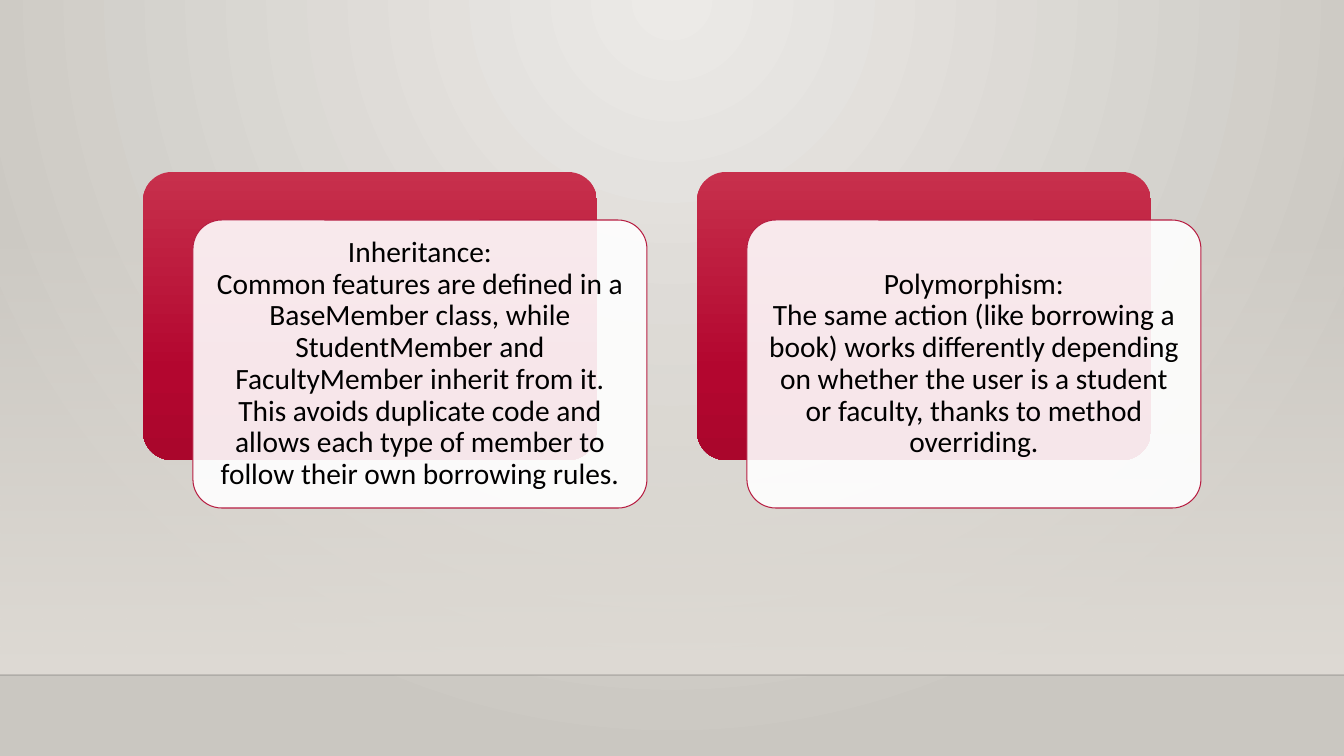
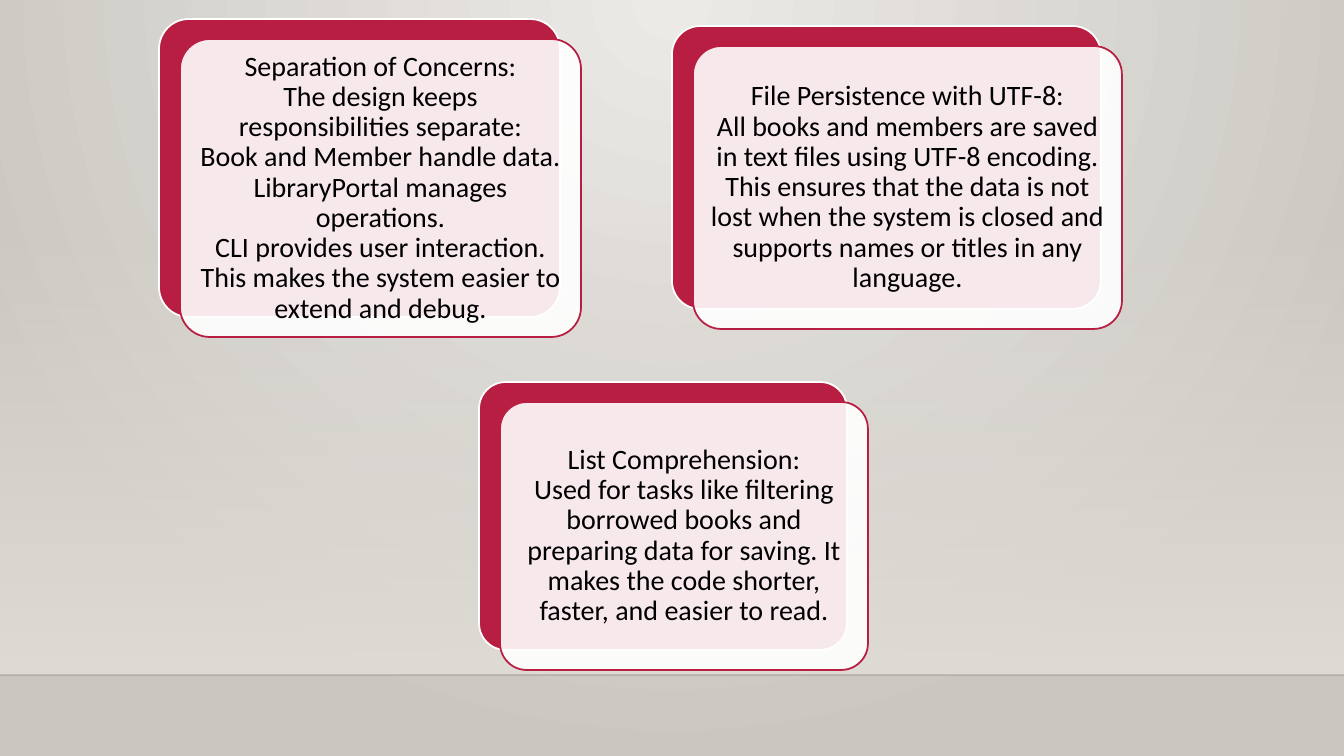
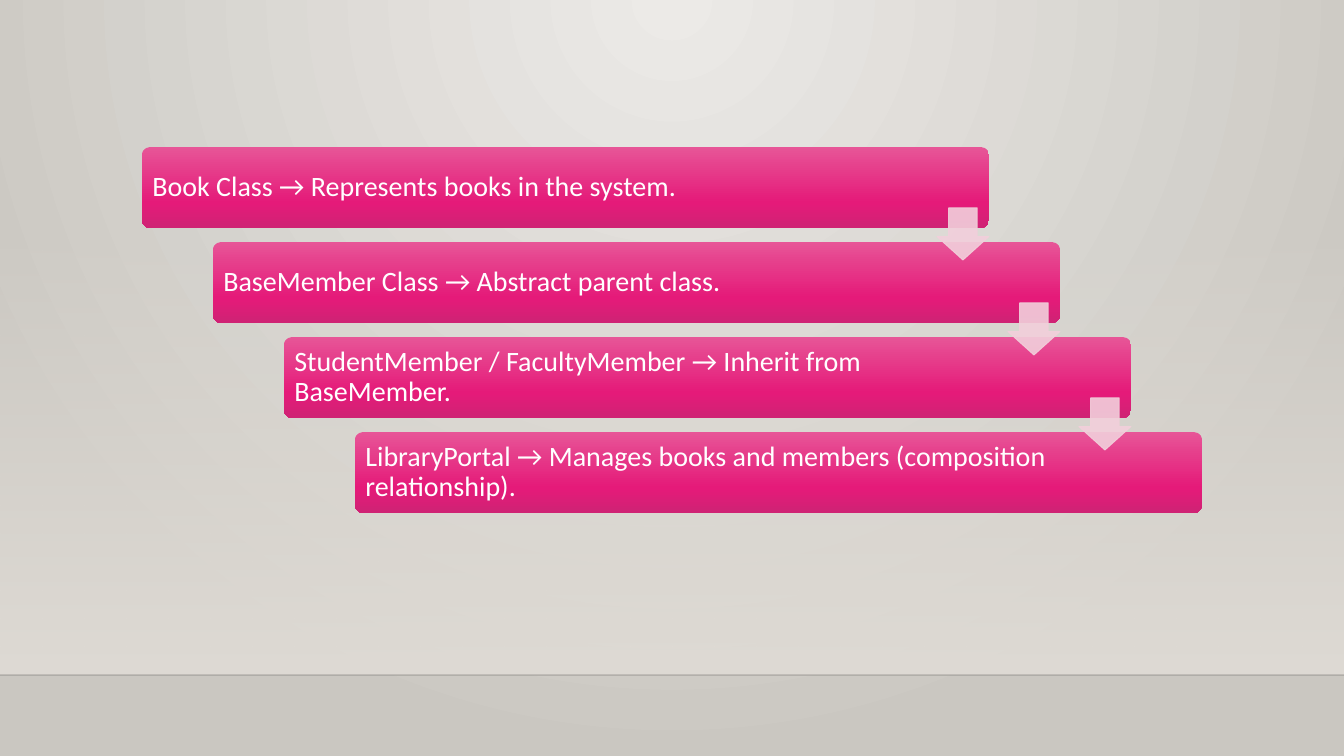
"""Build three slides on the design of a library system."""
from dataclasses import dataclass
from typing import Optional, Union

from lxml.etree import SubElement
from pptx import Presentation
from pptx.dml.color import RGBColor
from pptx.enum.shapes import MSO_CONNECTOR, MSO_SHAPE as Preset
from pptx.enum.text import MSO_ANCHOR as Anchor, PP_ALIGN as Align
from pptx.oxml.ns import qn
from pptx.util import Pt

EMU_PER_PX = 914400 / 100.8
SLIDE_WIDTH, SLIDE_HEIGHT = 1344, 756
HORIZON = 675
FONT = "Calibri"
COLORS = {
    "glow": "ECEAE7", "edge": "CAC7C1", "haze": "DFDBD5", "horizon": "000001",
    "crimson": "B71E42", "white": "FFFFFF", "black": "000000", "blush": "F2CFDB",
    "crimson_top": "C7304C", "crimson_mid": "B3062F", "crimson_low": "AA062C",
    "pink_top": "E75597", "pink_mid": "E51A79", "pink_low": "CF2374",
}
FILL_COLOR = "p:spPr/a:solidFill/a:srgbClr"
LINE_COLOR = "p:spPr/a:ln/a:solidFill/a:srgbClr"


@dataclass(frozen=True)
class Stop:
    """A gradient stop in percent."""
    position: int
    color: str
    alpha: int = 100


@dataclass(frozen=True)
class Box:
    """A rectangle in px."""
    left: int
    top: int
    width: int
    height: int

    def shifted(self, dx: int, dy: int) -> "Box":
        """Return the box moved by dx and dy."""
        return Box(self.left + dx, self.top + dy, self.width, self.height)

    def emu(self) -> tuple:
        """Return left, top, width and height in EMU."""
        return tuple(px(v) for v in (self.left, self.top, self.width, self.height))


@dataclass(frozen=True)
class Card:
    """A concept with its place on the slide."""
    box: Box
    text: str


@dataclass(frozen=True)
class CardStyle:
    """The look shared by the cards of one slide."""
    backing: Union[str, tuple]
    backing_line: Optional[str]
    line_width: float
    dx: int
    dy: int
    size: int
    inset: int


CRIMSON_FADE = (Stop(0, "crimson_top"), Stop(69, "crimson_mid"), Stop(100, "crimson_low"))
PINK_FADE = (Stop(0, "pink_top"), Stop(69, "pink_mid"), Stop(100, "pink_low"))

PRINCIPLE_STYLE = CardStyle(CRIMSON_FADE, None, 0.75, 50, 48, 21, 9)
PRACTICE_STYLE = CardStyle("crimson", "white", 1.25, 21, 20, 20, 8)

PRINCIPLES = (
    Card(Box(143, 172, 454, 288),
         "Inheritance:\nCommon features are defined in a BaseMember class, while "
         "StudentMember and FacultyMember inherit from it. This avoids duplicate code "
         "and allows each type of member to follow their own borrowing rules."),
    Card(Box(697, 172, 454, 288),
         "Polymorphism:\nThe same action (like borrowing a book) works differently "
         "depending on whether the user is a student or faculty, thanks to method "
         "overriding."),
)
PRACTICES = (
    Card(Box(159, 19, 401, 298),
         "Separation of Concerns:\nThe design keeps responsibilities separate:\n"
         "Book and Member handle data.\nLibraryPortal manages operations.\n"
         "CLI provides user interaction.\n"
         "This makes the system easier to extend and debug."),
    Card(Box(479, 382, 368, 268),
         "List Comprehension:\nUsed for tasks like filtering borrowed books and "
         "preparing data for saving. It makes the code shorter, faster, and easier "
         "to read."),
    Card(Box(672, 26, 429, 283),
         "File Persistence with UTF-8:\nAll books and members are saved in text files "
         "using UTF-8 encoding. This ensures that the data is not lost when the system "
         "is closed and supports names or titles in any language."),
)
CLASSES = (
    "Book Class → Represents books in the system.",
    "BaseMember Class → Abstract parent class.",
    "StudentMember / FacultyMember → Inherit from BaseMember.",
    "LibraryPortal → Manages books and members (composition relationship).",
)
FIRST_STEP = Box(142, 147, 847, 81)
STEP_DX, STEP_DY = 71, 95
ARROW_SIZE, ARROW_DROP = 52, 61


def px(length: int) -> int:
    """Turn px into EMU."""
    return round(length * EMU_PER_PX)


def rgb(color: str) -> RGBColor:
    """Look up a named colour."""
    return RGBColor.from_string(COLORS[color])


def fade(shape, color_path: str, percent: int) -> None:
    """Set the opacity of the colours found at a path."""
    for color in shape.element.xpath(color_path):
        SubElement(color, qn("a:alpha"), val=str(percent * 1000))


def set_gradient(fill, owner, stops: tuple, radial: bool = False) -> None:
    """Fill with a vertical or a radial gradient."""
    fill.gradient()
    gradient = next(owner.element.iter(qn("a:gradFill")))
    for child in list(gradient):
        gradient.remove(child)
    stop_list = SubElement(gradient, qn("a:gsLst"))
    for stop in stops:
        entry = SubElement(stop_list, qn("a:gs"), pos=str(stop.position * 1000))
        color = SubElement(entry, qn("a:srgbClr"), val=COLORS[stop.color])
        if stop.alpha < 100:
            SubElement(color, qn("a:alpha"), val=str(stop.alpha * 1000))
    if radial:
        circle = SubElement(gradient, qn("a:path"), path="circle")
        SubElement(circle, qn("a:fillToRect"), l="43000", t="0", r="43000", b="100000")
    else:
        SubElement(gradient, qn("a:lin"), ang="5400000", scaled="0")


def add_block(slide, preset, box: Box, fill: Union[str, tuple],
              line: Optional[str] = None, line_width: float = 0.75,
              adjust: tuple = (), opacity: int = 100):
    """Add a filled preset shape without shadow."""
    shape = slide.shapes.add_shape(preset, *box.emu())
    shape.shadow.inherit = False
    for index, value in enumerate(adjust):
        shape.adjustments[index] = value
    if isinstance(fill, str):
        shape.fill.solid()
        shape.fill.fore_color.rgb = rgb(fill)
        if opacity < 100:
            fade(shape, FILL_COLOR, opacity)
    else:
        set_gradient(shape.fill, shape, fill)
    if line:
        shape.line.color.rgb = rgb(line)
        shape.line.width = Pt(line_width)
    else:
        shape.line.fill.background()
    return shape


def write(shape, text: str, *, size: int, color: str, align, inset: int,
          right_inset: Optional[int] = None) -> None:
    """Write one formatted paragraph into a shape."""
    frame = shape.text_frame
    frame.word_wrap = True
    frame.vertical_anchor = Anchor.MIDDLE
    frame.margin_left = frame.margin_top = frame.margin_bottom = px(inset)
    frame.margin_right = px(inset if right_inset is None else right_inset)
    paragraph = frame.paragraphs[0]
    paragraph.text = text
    paragraph.alignment = align
    paragraph.line_spacing = 0.9
    for run in paragraph.runs:
        run.font.name = FONT
        run.font.size = Pt(size)
        run.font.color.rgb = rgb(color)


def dress_master(master, slide) -> None:
    """Give the master its background, haze and horizon."""
    set_gradient(master.background.fill, master,
                 (Stop(0, "glow"), Stop(100, "edge")), radial=True)
    haze = add_block(slide, Preset.RECTANGLE, Box(0, 223, SLIDE_WIDTH, HORIZON - 223),
                     (Stop(0, "haze", 0), Stop(100, "haze")))
    horizon = slide.shapes.add_connector(
        MSO_CONNECTOR.STRAIGHT, 0, px(HORIZON), px(SLIDE_WIDTH), px(HORIZON))
    horizon.line.color.rgb = rgb("horizon")
    horizon.line.width = Pt(1)
    fade(horizon, LINE_COLOR, 20)
    SubElement(horizon.element.find(qn("p:spPr")), qn("a:effectLst"))
    for shape_id, part in enumerate((haze, horizon), start=100):
        part.element.xpath(".//p:cNvPr")[0].set("id", str(shape_id))
        master.shapes.element.append(part.element)


def add_cards(slide, cards: tuple, style: CardStyle) -> None:
    """Draw cards, each a panel over an offset backing."""
    for card in cards:
        add_block(slide, Preset.ROUNDED_RECTANGLE, card.box, style.backing,
                  style.backing_line, style.line_width, adjust=(0.1,))
        panel = add_block(slide, Preset.ROUNDED_RECTANGLE,
                          card.box.shifted(style.dx, style.dy), "white", "crimson",
                          style.line_width, adjust=(0.1,), opacity=90)
        write(panel, card.text, size=style.size, color="black",
              align=Align.CENTER, inset=style.inset)


def add_staircase(slide, steps: tuple) -> None:
    """Draw descending steps with an arrow between neighbours."""
    boxes = [FIRST_STEP.shifted(i * STEP_DX, i * STEP_DY) for i in range(len(steps))]
    for box, text in zip(boxes, steps):
        step = add_block(slide, Preset.ROUNDED_RECTANGLE, box, PINK_FADE, adjust=(0.1,))
        write(step, text, size=20, color="white", align=Align.LEFT,
              inset=8, right_inset=131)
    for box in boxes[:-1]:
        arrow_box = Box(box.left + box.width - ARROW_SIZE, box.top + ARROW_DROP,
                        ARROW_SIZE, ARROW_SIZE)
        arrow = add_block(slide, Preset.DOWN_ARROW, arrow_box, "blush", "blush",
                          adjust=(0.55, 0.45), opacity=90)
        fade(arrow, LINE_COLOR, 90)


def main() -> None:
    """Build and save the presentation."""
    deck = Presentation()
    deck.slide_width, deck.slide_height = px(SLIDE_WIDTH), px(SLIDE_HEIGHT)
    blank = deck.slide_layouts[6]
    principles, practices, classes = (deck.slides.add_slide(blank) for _ in range(3))
    dress_master(deck.slide_master, principles)
    add_cards(principles, PRINCIPLES, PRINCIPLE_STYLE)
    add_cards(practices, PRACTICES, PRACTICE_STYLE)
    add_staircase(classes, CLASSES)
    deck.save("out.pptx")


if __name__ == "__main__":
    main()
